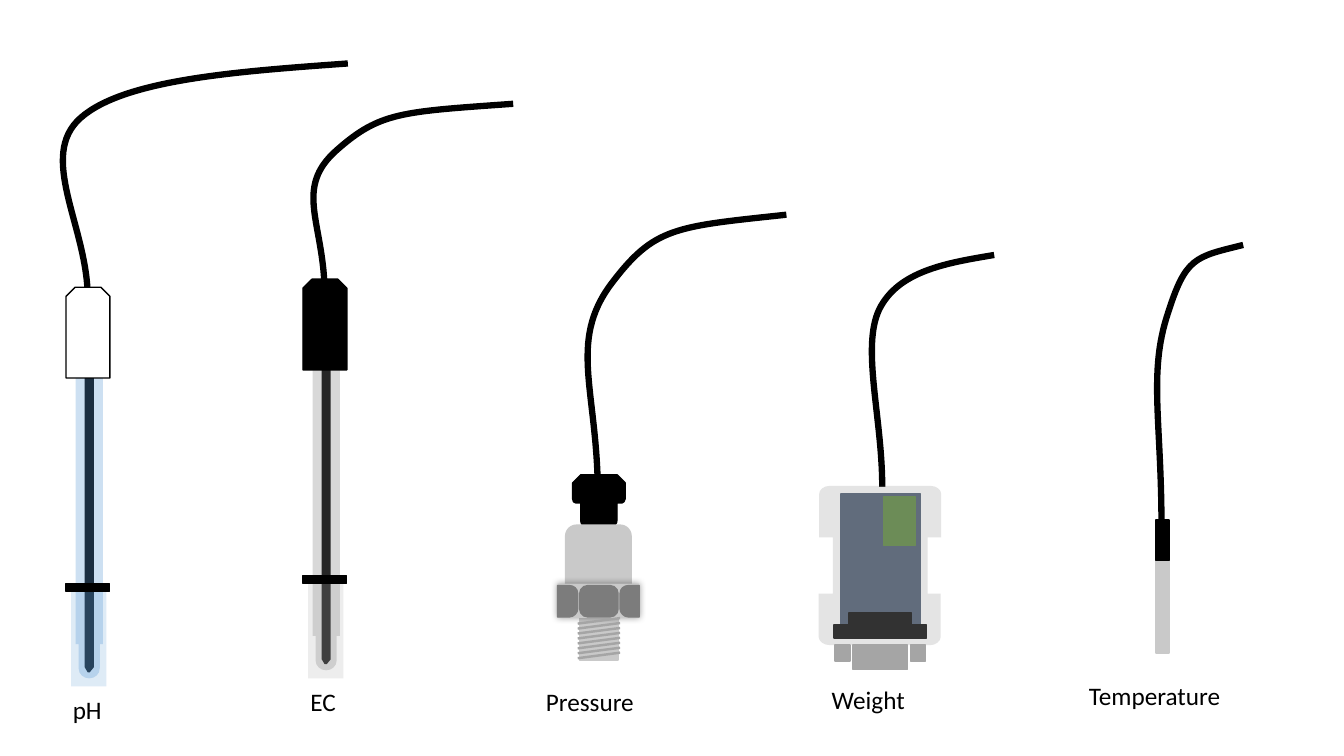
import pptx
import pptx.util
import pptx.dml.color
import pptx.enum.shapes
import pptx.enum.text
import pptx.oxml
import pptx.oxml.ns

COLOURS = {
    "black": "000000", "white": "FFFFFF", "glass": "808080", "sleeve": "A6A6A6",
    "blue": "5B9BD5", "steel": "C9C9C9", "nut": "7C7C7C", "thread": "A5A5A5",
    "board": "44546A", "chip": "548235",
}
COLUMNS, ROWS = 1333, 750
CURVE_STEPS = 24
RECT = pptx.enum.shapes.MSO_SHAPE.RECTANGLE
ROUNDED = pptx.enum.shapes.MSO_SHAPE.ROUNDED_RECTANGLE
qn = pptx.oxml.ns.qn

deck = pptx.Presentation()
deck.slide_width = pptx.util.Inches(13.33)
deck.slide_height = pptx.util.Inches(7.5)
slide = deck.slides.add_slide(deck.slide_layouts[6])
COLUMN = deck.slide_width / COLUMNS
ROW = deck.slide_height / ROWS


def place(box, x, y):
    return round((box[0] + x) * COLUMN), round((box[1] + y) * ROW)


def colour(name):
    return pptx.dml.color.RGBColor.from_string(COLOURS[name])


def add_effects(element, content=""):
    namespace = pptx.oxml.ns.nsdecls("a")
    element.spPr.append(pptx.oxml.parse_xml(f"<a:effectLst {namespace}>{content}</a:effectLst>"))


def paint(part, fill=None, line=None, width=1, opacity=100):
    part.shadow.inherit = False
    if fill:
        part.fill.solid()
        part.fill.fore_color.rgb = colour(fill)
        if opacity < 100:
            tint = part.fill._xPr.find(".//" + qn("a:srgbClr"))
            tint.append(tint.makeelement(qn("a:alpha"), {"val": str(opacity * 1000)}))
    else:
        part.fill.background()
    if line:
        part.line.color.rgb = colour(line)
        part.line.width = pptx.util.Pt(width)
    else:
        part.line.fill.background()
    return part


def block(box, x, y, width, height, fill, line=None, opacity=100, kind=RECT, corner=None):
    part = slide.shapes.add_shape(kind, *place(box, x, y), round(width * COLUMN), round(height * ROW))
    if corner is not None:
        part.adjustments[0] = corner
    return paint(part, fill, line, opacity=opacity)


def trace(steps):
    points = [steps[0]]
    for step in steps[1:]:
        if len(step) == 2:
            points.append(step)
            continue
        controls = [points[-1], step[:2], step[2:4], step[4:]]
        for index in range(1, CURVE_STEPS + 1):
            t = index / CURVE_STEPS
            weights = ((1 - t) ** 3, 3 * t * (1 - t) ** 2, 3 * t ** 2 * (1 - t), t ** 3)
            points.append(tuple(sum(w * c[axis] for w, c in zip(weights, controls)) for axis in (0, 1)))
    return points


def bend(part, box, steps, close):
    route = part.element.spPr.find(".//" + qn("a:path"))
    for command in list(route):
        route.remove(command)
    for index, step in enumerate(steps):
        tag = "a:moveTo" if index == 0 else "a:lnTo" if len(step) == 2 else "a:cubicBezTo"
        command = route.makeelement(qn(tag), {})
        route.append(command)
        for x, y in zip(step[::2], step[1::2]):
            left, top = place(box, x, y)
            command.append(command.makeelement(
                qn("a:pt"), {"x": str(left - part.left), "y": str(top - part.top)}))
    if close:
        route.append(route.makeelement(qn("a:close"), {}))


def outline(box, steps, fill=None, line=None, width=1, opacity=100, close=True):
    points = [place(box, x, y) for x, y in trace(steps)]
    builder = slide.shapes.build_freeform(*points[0])
    builder.add_line_segments(points[1:], close=close)
    part = builder.convert_to_shape()
    bend(part, box, steps, close)
    return paint(part, fill, line, width, opacity)


def cable(box, *curves):
    outline(box, [(0, 0), *curves], line="black", width=4.5, close=False)


def label(box, wording):
    left, top, width, height = box
    caption = slide.shapes.add_textbox(*place(box, 0, 0), round(width * COLUMN), round(height * ROW))
    caption.text_frame.word_wrap = True
    paragraph = caption.text_frame.paragraphs[0]
    paragraph.alignment = pptx.enum.text.PP_ALIGN.CENTER
    paragraph.line_spacing = 1.5
    run = paragraph.add_run()
    run.text = wording
    run.font.name = "Calibri"
    run.font.size = pptx.util.Pt(18)
    run.font.color.rgb = colour("black")


def probe(box, cap, glass, sleeve):
    rod, tube = 18.5, 9.5
    outline(box, [(rod, 72), (rod + 9, 72), (rod + 9, 377), (rod + 5, 382), (rod + 3, 382), (rod, 377)], "black")
    outline(box, [
        (tube, 72), (tube + 27, 72), (tube + 27, 354), (tube + 24, 354), (tube + 24, 378),
        (tube + 24, 384, tube + 19, 388, tube + 13.5, 388),
        (tube + 8, 388, tube + 3, 384, tube + 3, 378), (tube + 3, 354), (tube, 354)], glass, opacity=30)
    block(box, 5, 298, 35, 98, sleeve, opacity=20)
    block(box, 0, 294, 43, 8, "black", "black")
    outline(box, [(9, 0), (34.5, 0), (43.5, 9), (43.5, 90), (0, 90), (0, 9)], cap, "black")


def pressure_sensor(box):
    outline(box, [
        (23, 0), (59, 0), (67, 8), (67, 24), (67, 26, 65, 28, 64, 28), (59, 28), (59, 45),
        (59, 49, 56, 51, 53, 51), (29, 51), (25, 51, 23, 49, 23, 45), (23, 28), (18, 28),
        (16, 28, 15, 26, 15, 24), (15, 8)], "black", "black")
    block(box, 22, 141, 38, 43, "steel", "steel")
    block(box, 8, 50, 65, 70, "steel", "steel", kind=ROUNDED)
    collar = block(box, 0, 108, 81, 34, "steel")
    collar.element.spPr.remove(collar.element.spPr.find(qn("a:effectLst")))
    add_effects(collar.element,
                '<a:outerShdw blurRad="63500" dist="0" dir="0" algn="ctr" rotWithShape="0">'
                '<a:srgbClr val="000000"><a:alpha val="40000"/></a:srgbClr></a:outerShdw>')
    block(box, 22, 110, 38, 31, "nut", "nut", kind=ROUNDED, corner=0.25)
    for outer, shoulder, inner in ((81, 70, 62), (0, 12, 20)):
        curve = (inner + shoulder) / 2
        outline(box, [
            (shoulder, 110), (outer, 110), (outer, 141), (shoulder, 141),
            (curve, 141, inner, 137, inner, 133), (inner, 118),
            (inner, 113, curve, 110, shoulder, 110)], "nut", "nut")
    for turn in range(8):
        y = 182 - 4.9 * turn
        thread = slide.shapes.add_connector(
            pptx.enum.shapes.MSO_CONNECTOR.STRAIGHT, *place(box, 20, y), *place(box, 62, y - 5.5))
        thread.line.color.rgb = colour("thread")
        thread.line.width = pptx.util.Pt(1.75)
        add_effects(thread._element)


def weight_sensor(box):
    block(box, 22, 8, 79, 134, "board", "board")
    block(box, 64, 11, 32, 48, "chip", "chip")
    outline(box, [(30, 126), (92, 126), (92, 138), (107, 138), (107, 151), (15, 151), (15, 138), (30, 138)],
            "black", "black")
    outline(box, [
        (11, 0), (111, 0), (117, 0, 121.5, 4, 121.5, 8), (121.5, 51), (108, 51), (108, 107), (121, 107),
        (121, 150), (121, 154, 116, 158, 111, 158), (11, 158), (5, 158, 0, 154, 0, 150), (0, 107),
        (14, 107), (14, 51), (0.5, 51), (0.5, 8), (0.5, 4, 5, 0, 11, 0)], "sleeve", opacity=30)
    block(box, 34, 158, 54, 24, "thread", "thread")
    for pin in (16, 91):
        block(box, pin, 158, 15, 16, "thread", "thread")


def temperature_sensor(box):
    block(box, 0, 25, 13, 107, "steel", "steel")
    block(box, 0, 0, 13, 40, "black", "black")


cable((593, 491), (0, -103, -30, -151, 13, -209), (56, -266, 76, -266, 187, -278))
cable((87, 293), (-1, -69, -50, -138, -7, -176), (36, -214, 147, -222, 258, -230))
cable((322, 289), (-1, -69, -31, -102, 12, -140), (55, -178, 76, -178, 187, -186))
label((47, 669, 79, 51), "pH")
label((281, 661, 79, 51), "EC")
probe((300.5, 277), "black", "glass", "sleeve")
probe((65.5, 285), "white", "blue", "blue")
pressure_sensor((553, 471))
label((516, 661, 138, 51), "Pressure")
cable((875, 483), (0, -69, -21, -138, -3, -176), (16, -214, 63, -222, 111, -230))
label((762, 659, 204, 51), "Weight ")
weight_sensor((812, 482))
temperature_sensor((1146.5, 516))
cable((1152, 521), (0, -103, -13, -151, 6, -209), (24, -266, 33, -266, 81, -278))
label((1046, 655, 204, 51), "Temperature ")

deck.save("out.pptx")
